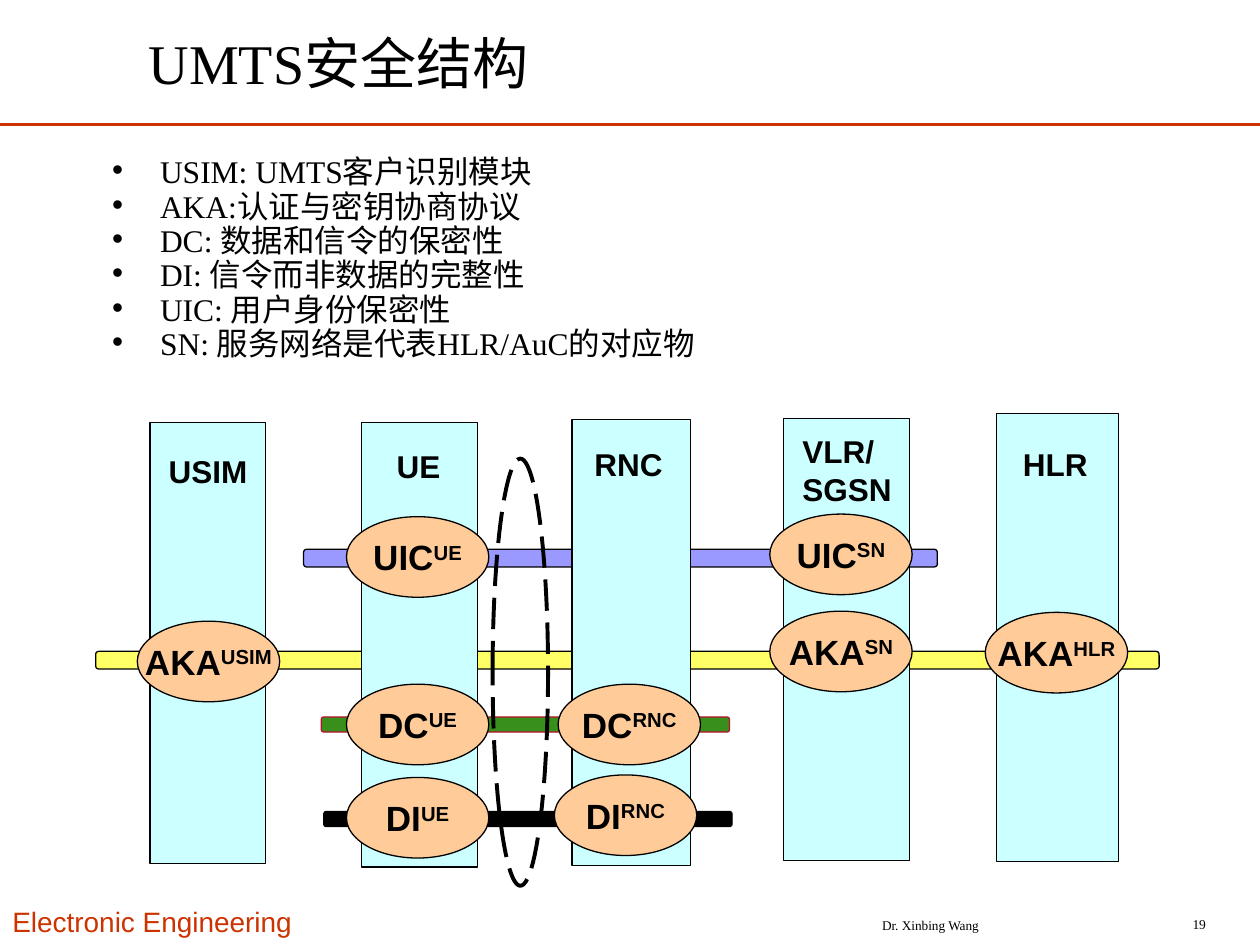
"""Build the UMTS security architecture slide; all positions are percentages of the slide's size."""
from typing import NamedTuple, Optional

from lxml.etree import SubElement
from pptx import Presentation
from pptx.dml.color import RGBColor
from pptx.enum.dml import MSO_LINE
from pptx.enum.shapes import MSO_CONNECTOR, MSO_SHAPE as SHAPE
from pptx.enum.text import MSO_ANCHOR as ANCHOR, MSO_AUTO_SIZE as FIT, PP_ALIGN as ALIGN
from pptx.oxml.ns import qn
from pptx.util import Inches, Pt

COLORS = {
    "black": "000000", "red": "CC3300", "column": "CCFFFF", "node": "FFCC99",
    "green": "388F1B", "crimson": "B7122C", "yellow": "FFFF66", "blue": "9999FF",
}
SERIF, SANS = "Times New Roman", "Arial"
WIDTH, HEIGHT = Inches(10), Inches(7.5)
NODE_W, NODE_H = 11.3, 8.53


class Box(NamedTuple):
    x: float
    y: float
    w: float
    h: float


class Bar(NamedTuple):
    box: Box
    fill: str
    line: str = "black"


class Column(NamedTuple):
    lines: list[str]
    box: Box
    label: Box


class Node(NamedTuple):
    name: str
    place: str
    x: float
    y: float


BULLETS = [
    "USIM: UMTS客户识别模块",
    "AKA:认证与密钥协商协议",
    "DC: 数据和信令的保密性",
    "DI: 信令而非数据的完整性",
    "UIC: 用户身份保密性",
    "SN: 服务网络是代表HLR/AuC的对应物",
]
BARS = [
    Bar(Box(25.7, 85.87, 32.4, 1.6), "black"),
    Bar(Box(25.5, 75.87, 32.4, 1.6), "green", "crimson"),
    Bar(Box(7.6, 68.93, 84.4, 1.87), "yellow"),
    Bar(Box(24.1, 58.13, 50.3, 1.87), "blue"),
]
COLUMNS = [
    Column(["USIM"], Box(11.9, 44.67, 9.2, 46.67), Box(12.4, 47.2, 8.3, 5.33)),
    Column(["UE"], Box(28.7, 44.67, 9.2, 47.07), Box(30.5, 46.67, 5.5, 5.33)),
    Column(["RNC"], Box(45.4, 44.4, 9.4, 47.2), Box(46.2, 46.4, 7.4, 5.33)),
    Column(["VLR/", "SGSN"], Box(62.2, 44.27, 10, 46.8), Box(62.7, 45.07, 9.1, 9.33)),
    Column(["HLR"], Box(79.1, 43.73, 9.7, 47.47), Box(80.2, 46.4, 7.2, 5.33)),
]
NODES = [
    Node("UIC", "UE", 27.5, 54.67), Node("UIC", "SN", 61.1, 54.4),
    Node("AKA", "USIM", 10.9, 65.73), Node("AKA", "SN", 61.1, 64.67),
    Node("AKA", "HLR", 78.2, 64.8),
    Node("DC", "UE", 27.5, 72.4), Node("DC", "RNC", 44.3, 72.4),
    Node("DI", "UE", 27.5, 82.27), Node("DI", "RNC", 44, 82),
]


def rgb(name: str) -> RGBColor:
    return RGBColor.from_string(COLORS[name])


def emu(box: Box) -> list[int]:
    return [round(v * side / 100) for v, side in zip(box, (WIDTH, HEIGHT) * 2)]


def place(s, box: Box) -> None:
    s.left, s.top, s.width, s.height = emu(box)


def write(tf, lines: list[str], *, size: float, font: str, color: str = "black",
          bold: bool = False, align=ALIGN.LEFT, anchor=ANCHOR.TOP, wrap: bool = True,
          fit=FIT.NONE, sup: str = "") -> None:
    tf.auto_size, tf.word_wrap, tf.vertical_anchor = fit, wrap, anchor
    for i, line in enumerate(lines):
        p = tf.add_paragraph() if i else tf.paragraphs[0]
        p.alignment = align
        for text in filter(None, (line, sup)):
            r = p.add_run()
            r.text = text
            r.font.size, r.font.name, r.font.bold = Pt(size), font, bold
            r.font.color.rgb = rgb(color)
        if sup:
            r._r.get_or_add_rPr().set("baseline", "30000")


def add_text(sp, box: Box, lines: list[str], **style) -> None:
    write(sp.add_textbox(*emu(box)).text_frame, lines, **style)


def add_box(sp, kind, box: Box, fill: Optional[str], line: str = "black", width: float = 0.75):
    s = sp.add_shape(kind, *emu(box))
    s.shadow.inherit = False
    if fill:
        s.fill.solid()
        s.fill.fore_color.rgb = rgb(fill)
    else:
        s.fill.background()
    s.line.color.rgb, s.line.width = rgb(line), Pt(width)
    return s


def add_rule(sp, y: float) -> None:
    left, top, width, _ = emu(Box(0, y, 100, 0))
    s = sp.add_connector(MSO_CONNECTOR.STRAIGHT, left, top, left + width, top)
    s.line.color.rgb, s.line.width = rgb("red"), Pt(1.5)
    SubElement(s._element.spPr, qn("a:effectLst"))


def add_bullet(p, first: bool) -> None:
    p.line_spacing = 0.7
    p.space_before = Pt(0 if first else 4.5)
    pPr = p._p.get_or_add_pPr()
    pPr.set("marL", str(Inches(0.38)))
    pPr.set("indent", str(-Inches(0.38)))
    SubElement(SubElement(pPr, qn("a:buClr")), qn("a:srgbClr"), val=COLORS["black"])
    SubElement(pPr, qn("a:buChar"), char="•")


def add_headings(slide) -> None:
    title, body = slide.shapes.title, slide.placeholders[1]
    place(title, Box(10.8, 2, 66.3, 9.2))
    write(title.text_frame, ["UMTS安全结构"], size=32, font=SERIF, anchor=ANCHOR.MIDDLE)
    place(body, Box(7.9, 16.53, 83.5, 23.87))
    write(body.text_frame, BULLETS, size=18, font=SERIF)
    for i, p in enumerate(body.text_frame.paragraphs):
        add_bullet(p, i == 0)


def add_footer(sp) -> None:
    add_text(sp, Box(0, 95.07, 25.5, 4.93), ["Electronic Engineering"],
             size=16, font=SANS, color="red", fit=FIT.SHAPE_TO_FIT_TEXT)
    add_text(sp, Box(61.7, 96.27, 24.3, 3.33), ["Dr. Xinbing Wang"],
             size=7.6, font=SERIF, align=ALIGN.CENTER, anchor=ANCHOR.MIDDLE)
    add_text(sp, Box(88.4, 96.13, 8.3, 3.33), ["19"],
             size=7.7, font=SERIF, align=ALIGN.RIGHT, anchor=ANCHOR.MIDDLE)


def add_diagram(sp) -> None:
    for bar in BARS:
        add_box(sp, SHAPE.ROUNDED_RECTANGLE, *bar)
    for col in COLUMNS:
        add_box(sp, SHAPE.RECTANGLE, col.box, "column")
        add_text(sp, col.label, col.lines, size=18, font=SANS, bold=True,
                 anchor=ANCHOR.BOTTOM, wrap=False, fit=FIT.SHAPE_TO_FIT_TEXT)
    for node in NODES:
        s = add_box(sp, SHAPE.OVAL, Box(node.x, node.y, NODE_W, NODE_H), "node")
        write(s.text_frame, [node.name], sup=node.place, size=20, font=SANS, bold=True,
              align=ALIGN.CENTER, anchor=ANCHOR.MIDDLE, wrap=False)
    air = add_box(sp, SHAPE.OVAL, Box(39.1, 48.53, 4.4, 45.2), None, width=2.25)
    air.line.dash_style = MSO_LINE.LONG_DASH


def main() -> None:
    prs = Presentation()
    prs.slide_width, prs.slide_height = WIDTH, HEIGHT
    slide = prs.slides.add_slide(prs.slide_layouts[1])
    add_rule(slide.shapes, 13.2)
    add_footer(slide.shapes)
    add_headings(slide)
    add_diagram(slide.shapes)
    prs.save("out.pptx")


if __name__ == "__main__":
    main()
